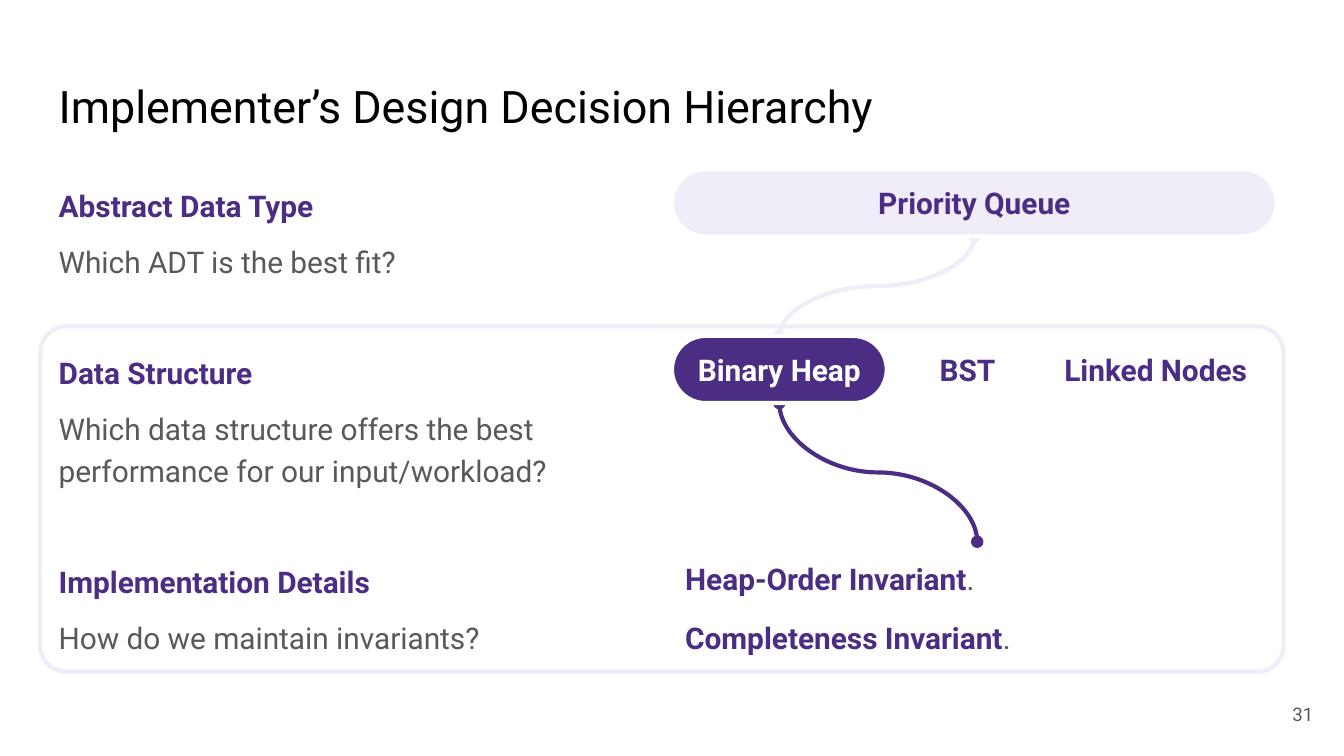
from pptx import Presentation
from pptx.dml.color import RGBColor
from pptx.enum.shapes import MSO_CONNECTOR, MSO_SHAPE
from pptx.enum.text import MSO_ANCHOR, MSO_AUTO_SIZE, PP_ALIGN
from pptx.oxml.ns import qn
from pptx.util import Cm, Pt
from lxml import etree

ROUNDED = MSO_SHAPE.ROUNDED_RECTANGLE
CURVE = MSO_CONNECTOR.CURVE
TOP, MIDDLE = MSO_ANCHOR.TOP, MSO_ANCHOR.MIDDLE
LEFT, CENTER, RIGHT = PP_ALIGN.LEFT, PP_ALIGN.CENTER, PP_ALIGN.RIGHT

PURPLE = RGBColor(0x4B, 0x2E, 0x83)
LAVENDER = RGBColor(0xF0, 0xEC, 0xF8)
GRAY = RGBColor(0x59, 0x59, 0x59)
WHITE = RGBColor(0xFF, 0xFF, 0xFF)
BLACK = RGBColor(0, 0, 0)

FONT = "Roboto"
INSET = Cm(0.25)
LINE_WIDTH = Pt(2.25)
PILL_HEIGHT = 1.27
COLUMN_LEFT = 12.7
ADT_TOP, STRUCTURE_TOP, DETAILS_TOP = 3.2, 6.35, 10.24

QUESTIONS = [
    ("Abstract Data Type", "Which ADT is the best fit?"),
    ("Data Structure", "Which data structure offers the best performance for our input/workload?"),
    ("Implementation Details", "How do we maintain invariants?"),
]
INVARIANTS = ["Heap-Order Invariant", "Completeness Invariant"]
# Label, left, width, fill, text colour
STRUCTURES = [
    ("Binary Heap", COLUMN_LEFT, 4.06, PURPLE, WHITE),
    ("BST", 17.27, 2.03, WHITE, PURPLE),
    ("Linked Nodes", 19.56, 4.57, WHITE, PURPLE),
]


def set_font(font, size, color, bold=False):
    font.name, font.size, font.bold = FONT, Pt(size), bold
    font.color.rgb = color


def prepare_frame(shape, anchor):
    frame = shape.text_frame
    frame.word_wrap = True
    frame.auto_size = MSO_AUTO_SIZE.NONE
    frame.vertical_anchor = anchor
    frame.margin_left = frame.margin_right = INSET
    frame.margin_top = frame.margin_bottom = INSET
    return frame


def add_text_box(slide, box, anchor=TOP):
    return prepare_frame(slide.shapes.add_textbox(*map(Cm, box)), anchor)


def add_paragraph(frame, first, space_before):
    paragraph = frame.paragraphs[0] if first else frame.add_paragraph()
    paragraph.line_spacing = 1.15
    if not first:
        paragraph.space_before = Pt(space_before)
    return paragraph


def add_rounded(slide, box, corner, fill, line):
    shape = slide.shapes.add_shape(ROUNDED, *map(Cm, box))
    shape.adjustments[0] = corner
    shape.shadow.inherit = False
    shape.fill.solid()
    shape.fill.fore_color.rgb = fill
    shape.line.color.rgb = line
    shape.line.width = LINE_WIDTH
    return shape


def add_pill(slide, box, label, fill, color):
    frame = prepare_frame(add_rounded(slide, box, 0.5, fill, WHITE), MIDDLE)
    paragraph = frame.paragraphs[0]
    paragraph.text = label
    paragraph.alignment = CENTER
    set_font(paragraph.font, 16, color, bold=True)


def add_vertical_curve(slide, start, end, color):
    """Draw an S-curve that leaves and arrives vertically."""
    center_x, center_y = (start[0] + end[0]) / 2, (start[1] + end[1]) / 2
    # A quarter turn back gives the ends before rotation
    ends = [(center_x + y - center_y, center_y - x + center_x) for x, y in (start, end)]
    curve = slide.shapes.add_connector(CURVE, *(Cm(value) for point in ends for value in point))
    curve.rotation = 90
    curve.line.color.rgb = color
    curve.line.width = LINE_WIDTH
    line = curve.line._get_or_add_ln()
    for tag in ("a:headEnd", "a:tailEnd"):
        etree.SubElement(line, qn(tag), type="oval")
    etree.SubElement(curve._element.spPr, qn("a:effectLst"))


def add_title(slide, box):
    title = slide.shapes.title
    title.left, title.top, title.width, title.height = map(Cm, box)
    paragraph = prepare_frame(title, TOP).paragraphs[0]
    paragraph.text = "Implementer’s Design Decision Hierarchy"
    paragraph.alignment = LEFT
    set_font(paragraph.font, 24, BLACK)


def add_questions(slide, box):
    frame = add_text_box(slide, box)
    for index, (level, question) in enumerate(QUESTIONS):
        heading = add_paragraph(frame, index == 0, 37.5)
        heading.text = level
        set_font(heading.font, 16, PURPLE, bold=True)
        body = add_paragraph(frame, False, 8)
        body.text = question
        set_font(body.font, 16, GRAY)


def add_structures(slide, top):
    for label, left, width, fill, color in STRUCTURES:
        add_pill(slide, (left, top, width, PILL_HEIGHT), label, fill, color)


def add_invariants(slide, box):
    frame = add_text_box(slide, box)
    for index, invariant in enumerate(INVARIANTS):
        paragraph = add_paragraph(frame, index == 0, 10)
        for text, color, bold in ((invariant, PURPLE, True), (".", GRAY, False)):
            run = paragraph.add_run()
            run.text = text
            set_font(run.font, 16, color, bold)


def add_page_number(slide, box):
    paragraph = add_text_box(slide, box, MIDDLE).paragraphs[0]
    paragraph.text = "31"
    paragraph.alignment = RIGHT
    set_font(paragraph.font, 10, GRAY)


def main():
    presentation = Presentation()
    presentation.slide_width, presentation.slide_height = Cm(25.4), Cm(14.29)
    slide = presentation.slides.add_slide(presentation.slide_layouts[5])

    # Panel around the implementer's decisions
    add_rounded(slide, (0.76, 6.17, 23.5, 6.53), 0.077, WHITE, LAVENDER)

    # Curves between the levels
    heap_center = COLUMN_LEFT + 2.03
    add_vertical_curve(slide, (18.47, DETAILS_TOP),
                       (heap_center, STRUCTURE_TOP + PILL_HEIGHT), PURPLE)
    add_vertical_curve(slide, (heap_center, STRUCTURE_TOP),
                       (18.42, ADT_TOP + PILL_HEIGHT), LAVENDER)

    # Title and questions
    add_title(slide, (0.86, 1.24, 23.39, 1.6))
    add_questions(slide, (0.86, ADT_TOP, 10.97, 9.5))

    # Answers at each level
    add_pill(slide, (COLUMN_LEFT, ADT_TOP, 11.43, PILL_HEIGHT),
             "Priority Queue", LAVENDER, PURPLE)
    add_structures(slide, STRUCTURE_TOP)
    add_invariants(slide, (COLUMN_LEFT, DETAILS_TOP, 11.56, 2.54))

    add_page_number(slide, (23.55, 12.95, 1.52, 1.09))
    presentation.save("out.pptx")


if __name__ == "__main__":
    main()
